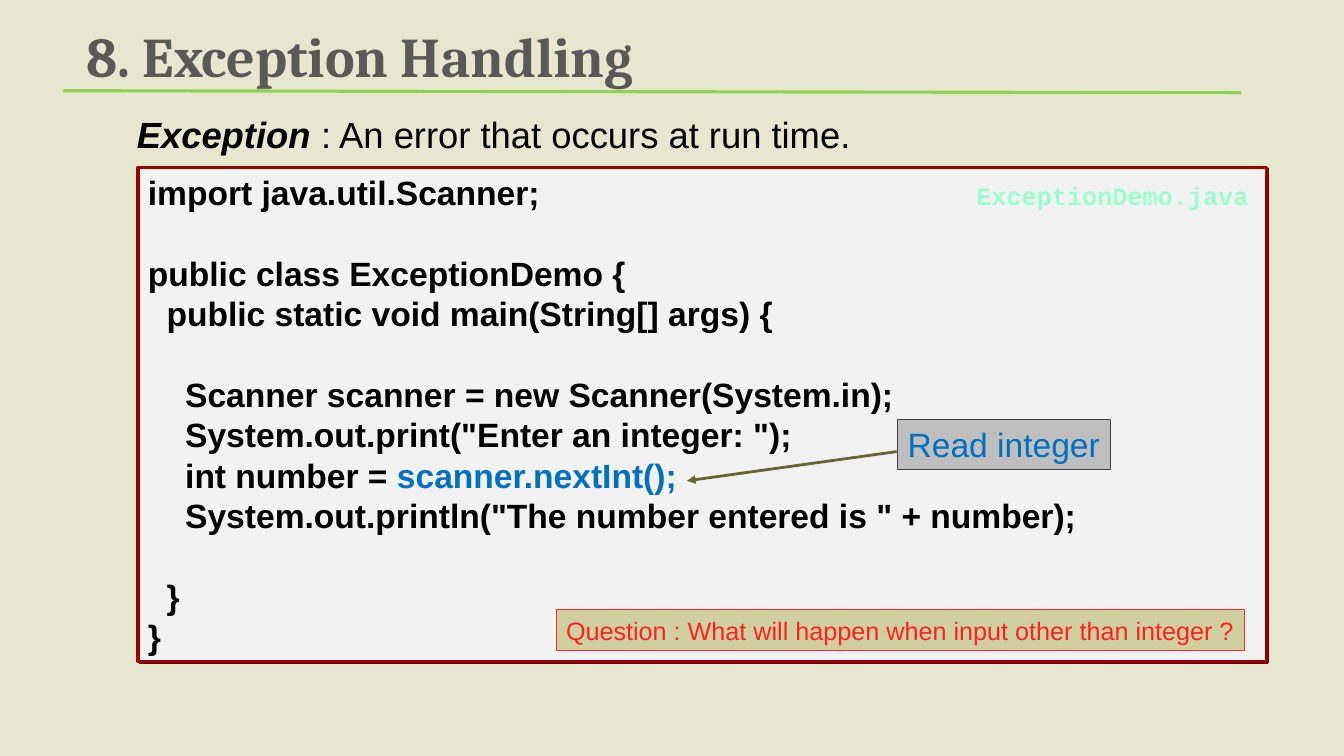
import pptx
import pptx.dml.color
import pptx.enum.shapes
import pptx.enum.text
import pptx.oxml
import pptx.oxml.ns
import pptx.util
from dataclasses import dataclass
from lxml import etree

Inches = pptx.util.Inches
Pt = pptx.util.Pt
RGB = pptx.dml.color.RGBColor.from_string
ALIGN = pptx.enum.text.PP_ALIGN
ANCHOR = pptx.enum.text.MSO_ANCHOR
qn = pptx.oxml.ns.qn


@dataclass(frozen=True)
class Theme:
    background: str = "E7E7CF"
    title: str = "595959"
    text: str = "000000"
    highlight: str = "0070C0"
    file_name: str = "99FFCC"
    panel: str = "F2F2F2"
    panel_line: str = "990000"
    panel_shadow: str = "5C0000"
    rule: str = "92D050"
    arrow: str = "666633"
    label: str = "BFBFBF"
    label_line: str = "404040"
    question: str = "CFCFA0"
    question_line: str = "FF2929"
    question_text: str = "FF2020"
    heading_font: str = "Cambria"
    body_font: str = "Arial"
    code_font: str = "Courier New"
    title_size: int = 40
    lead_size: int = 26
    code_size: int = 24
    small_size: int = 18


theme = Theme()


def set_font(font, size, color, name=theme.body_font, bold=False):
    font.size = Pt(size)
    font.name = name
    font.bold = bold
    font.color.rgb = RGB(color)


def add_panel(box, fill, line, line_width):
    """Add a filled, outlined rectangle with no shadow."""
    panel = slide.shapes.add_shape(
        pptx.enum.shapes.MSO_SHAPE.RECTANGLE, *map(Inches, box))
    panel.shadow.inherit = False
    panel.fill.solid()
    panel.fill.fore_color.rgb = RGB(fill)
    panel.line.color.rgb = RGB(line)
    panel.line.width = Pt(line_width)
    return panel


presentation = pptx.Presentation()
presentation.slide_width = Inches(13.34)
presentation.slide_height = Inches(7.5)
slide = presentation.slides.add_slide(presentation.slide_layouts[5])
slide.background.fill.solid()
slide.background.fill.fore_color.rgb = RGB(theme.background)

# Title
title = slide.shapes.title
title.left, title.top, title.width, title.height = map(Inches, (0.76, 0.17, 8.92, 0.76))
title.text_frame.text = "8. Exception Handling"
title.text_frame.vertical_anchor = ANCHOR.BOTTOM
paragraph = title.text_frame.paragraphs[0]
paragraph.alignment = ALIGN.LEFT
paragraph.line_spacing = 0.8
set_font(paragraph.font, theme.title_size, theme.title, theme.heading_font, True)

# Definition
definition = slide.shapes.add_textbox(*map(Inches, (1.26, 1.06, 10.38, 0.74)))
definition.text_frame.word_wrap = True
paragraph = definition.text_frame.paragraphs[0]
set_font(paragraph.font, theme.lead_size, theme.text)
term = paragraph.add_run()
term.text = "Exception"
term.font.bold = term.font.italic = True
paragraph.add_run().text = " : An error that occurs at run time."

# Code panel
code_panel = add_panel((1.37, 1.66, 11.2, 4.9), theme.panel, theme.panel_line, 2.25)
effects = code_panel._element.spPr.find(qn("a:effectLst"))
shadow = etree.SubElement(effects, qn("a:outerShdw"), dist=str(Pt(1.4)), dir="2700000", algn="ctr")
etree.SubElement(shadow, qn("a:srgbClr"), val=theme.panel_shadow)

# Indent level, blank lines above, then the pieces of text with their colours
code_lines = [
    (0, 0, [("import java.util.Scanner;", theme.text)]),
    (0, 1, [("public class ExceptionDemo {", theme.text)]),
    (1, 0, [("public static void main(String[] args) {", theme.text)]),
    (2, 1, [("Scanner scanner = new Scanner(System.in);", theme.text)]),
    (2, 0, [('System.out.print("Enter an integer: ");', theme.text)]),
    (2, 0, [("int number = ", theme.text), ("scanner.nextInt();", theme.highlight)]),
    (2, 0, [('System.out.println("The number entered is " + number);', theme.text)]),
    (1, 1, [("}", theme.text)]),
    (0, 0, [("}", theme.text)]),
]
line_height = 1.2 * theme.code_size
frame = code_panel.text_frame
frame.word_wrap = True
frame.vertical_anchor = ANCHOR.TOP
for index, (level, blank_lines, pieces) in enumerate(code_lines):
    paragraph = frame.add_paragraph() if index else frame.paragraphs[0]
    paragraph.alignment = ALIGN.LEFT
    paragraph.line_spacing = Pt(line_height)
    paragraph.space_before = Pt(blank_lines * line_height)
    paragraph._p.get_or_add_pPr().set("marL", str(Inches(0.185 * level)))
    set_font(paragraph.font, theme.code_size, theme.text, bold=True)
    for text, color in pieces:
        run = paragraph.add_run()
        run.text = text
        run.font.color.rgb = RGB(color)

file_name = slide.shapes.add_textbox(*map(Inches, (9.49, 1.74, 3, 0.4)))
file_name.text_frame.word_wrap = True
file_name.text_frame.vertical_anchor = ANCHOR.MIDDLE
paragraph = file_name.text_frame.paragraphs[0]
paragraph.text = "ExceptionDemo.java"
paragraph.alignment = ALIGN.RIGHT
set_font(paragraph.font, theme.small_size, theme.file_name, theme.code_font, True)

# Title rule and the arrow to the highlighted call
for ends, color, width, has_arrowhead in [
    ((0.63, 0.9, 12.32, 0.92), theme.rule, 2.25, False),
    ((8.9, 4.48, 6.82, 4.77), theme.arrow, 2, True),
]:
    connector = slide.shapes.add_connector(
        pptx.enum.shapes.MSO_CONNECTOR.STRAIGHT, *map(Inches, ends))
    connector.line.color.rgb = RGB(color)
    connector.line.width = Pt(width)
    if has_arrowhead:
        etree.SubElement(connector.line._get_or_add_ln(), qn("a:tailEnd"), type="triangle")
    etree.SubElement(connector._element.spPr, qn("a:effectLst"))

# Callouts
for text, box, fill, line, size, color in [
    ("Read integer", (8.91, 4.16, 2.11, 0.5),
     theme.label, theme.label_line, theme.code_size, theme.highlight),
    ("Question : What will happen when input other than integer ?", (5.52, 6.05, 6.83, 0.4),
     theme.question, theme.question_line, theme.small_size, theme.question_text),
]:
    callout = add_panel(box, fill, line, 0.75)
    callout.text_frame.word_wrap = False
    callout.text_frame.vertical_anchor = ANCHOR.MIDDLE
    paragraph = callout.text_frame.paragraphs[0]
    paragraph.text = text
    paragraph.alignment = ALIGN.LEFT
    set_font(paragraph.font, size, color)

presentation.save("out.pptx")
